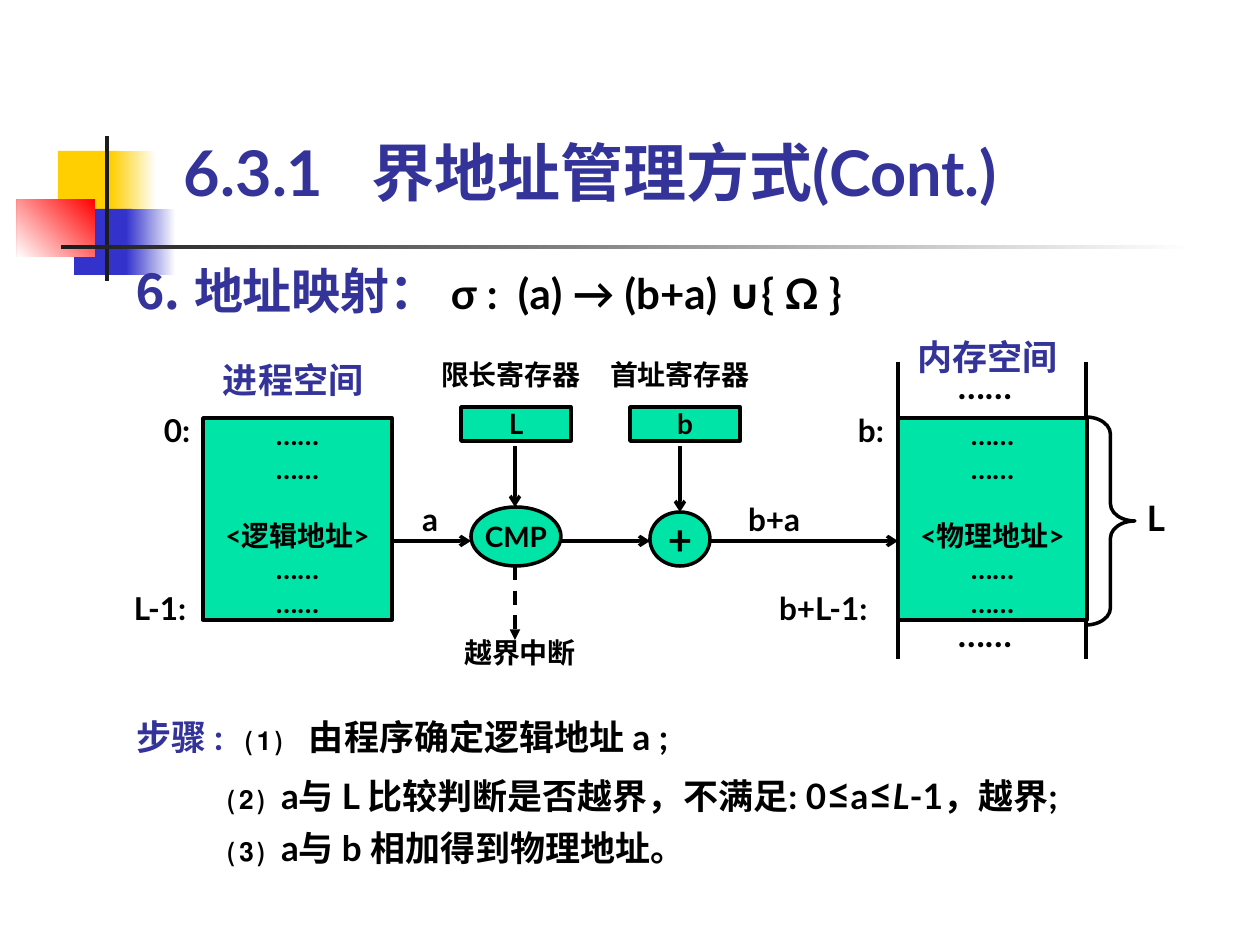
from dataclasses import dataclass
from lxml.etree import SubElement
from pptx import Presentation
from pptx.dml.color import RGBColor
from pptx.enum.dml import MSO_LINE
from pptx.enum.shapes import MSO_CONNECTOR, MSO_SHAPE
from pptx.enum.text import MSO_ANCHOR, PP_ALIGN
from pptx.oxml.ns import qn
from pptx.util import Pt

SCALE = 914400 / 126  # EMU in one px


@dataclass(frozen=True)
class Theme:
    font: str = "Lato"
    heading: str = "333399"
    ink: str = "000000"
    box: str = "00E4A8"
    white: str = "FFFFFF"
    yellow: str = "FFCF01"
    blue: str = "3333CC"
    red: str = "FF0000"
    rule: str = "1C1C1C"
    title: int = 36
    section: int = 28
    large: int = 24
    body: int = 20
    label: int = 18
    small: int = 16
    line: int = 2


THEME = Theme()
CENTER = PP_ALIGN.CENTER


def px(*lengths):
    return [round(length * SCALE) for length in lengths]


def set_all(target, values):
    for name, value in values.items():
        setattr(target, name, value)


def write(paragraph, runs, tabs=(), hanging=None, **formats):
    """Fill a paragraph with runs of (text, size, colour, italic)."""
    properties = paragraph._p.get_or_add_pPr()
    if hanging:
        margin, indent = px(*hanging)
        properties.set("marL", str(margin))
        properties.set("indent", str(indent))
    if tabs:
        tab_list = SubElement(properties, qn("a:tabLst"))
        for position in px(*tabs):
            SubElement(tab_list, qn("a:tab"), pos=str(position), algn="l")
    set_all(paragraph, formats)
    for text, size, colour, *italic in runs:
        run = paragraph.add_run()
        run.text = text
        set_all(run.font, {"name": THEME.font, "size": Pt(size), "bold": True,
                           "italic": bool(italic)})
        run.font.color.rgb = RGBColor.from_string(colour)


def set_frame(shape, margins=(0, 0), anchor=MSO_ANCHOR.TOP, wrap=True):
    side, end = px(*margins)
    frame = shape.text_frame
    set_all(frame, {"margin_left": side, "margin_right": side, "margin_top": end,
                    "margin_bottom": end, "vertical_anchor": anchor, "word_wrap": wrap})
    return frame


def add_text(slide, box, runs, margins=(0, 0), **formats):
    frame = set_frame(slide.shapes.add_textbox(*px(*box)), margins)
    write(frame.paragraphs[0], runs, **formats)
    return frame


def add_block(slide, box, fill, fade_to=None, angle=180):
    """Unlined rectangle, plain or fading from one colour to another."""
    shape = slide.shapes.add_shape(MSO_SHAPE.RECTANGLE, *px(*box))
    shape.shadow.inherit = False
    shape.line.fill.background()
    if fade_to is None:
        shape.fill.solid()
        shape.fill.fore_color.rgb = RGBColor.from_string(fill)
        return
    shape.fill.gradient()
    shape.fill.gradient_angle = angle
    for stop, colour in zip(shape.fill.gradient_stops, (fill, fade_to)):
        stop.color.rgb = RGBColor.from_string(colour)


def add_outline(slide, kind, box, fill=None):
    shape = slide.shapes.add_shape(kind, *px(*box))
    shape.shadow.inherit = False
    shape.line.color.rgb = RGBColor.from_string(THEME.ink)
    shape.line.width = Pt(THEME.line)
    if fill:
        shape.fill.solid()
        shape.fill.fore_color.rgb = RGBColor.from_string(fill)
    else:
        shape.fill.background()
    return shape


def add_node(slide, kind, box, text, size=THEME.small, **frame_formats):
    frame = set_frame(add_outline(slide, kind, box, THEME.box), **frame_formats)
    write(frame.paragraphs[0], [(text, size, THEME.ink)], alignment=CENTER)


def add_memory(slide, left, address):
    """Address space box; a gap stands above its marked address."""
    shape = add_outline(slide, MSO_SHAPE.RECTANGLE, (left, 418, 189, 202), THEME.box)
    frame = set_frame(shape)
    for index, text in enumerate(("……", "……", address, "……", "……")):
        paragraph = frame.add_paragraph() if index else frame.paragraphs[0]
        gap = {"space_before": Pt(19)} if text == address else {}
        write(paragraph, [(text, THEME.small, THEME.ink)], alignment=CENTER, **gap)


def add_line(slide, ends, head=None, dashed=False):
    connector = slide.shapes.add_connector(MSO_CONNECTOR.STRAIGHT, *px(*ends))
    connector.line.color.rgb = RGBColor.from_string(THEME.ink)
    connector.line.width = Pt(THEME.line)
    if dashed:
        connector.line.dash_style = MSO_LINE.DASH
    if head:
        SubElement(connector.line._get_or_add_ln(), qn("a:tailEnd"), type=head)
    SubElement(connector._element.spPr, qn("a:effectLst"))


def add_decoration(slide):
    add_block(slide, (58, 151, 60, 66), THEME.yellow)
    add_block(slide, (111, 151, 45, 66), THEME.white, THEME.yellow)
    add_block(slide, (74, 209, 58, 66), THEME.blue)
    add_block(slide, (126, 209, 50, 66), THEME.white, THEME.blue)
    add_block(slide, (17, 199, 78, 58), THEME.red, THEME.white, 225)
    add_block(slide, (105, 136, 4, 145), THEME.rule)
    add_block(slide, (61, 245, 1134, 4), THEME.white, THEME.rule)


def add_headings(slide):
    title = slide.shapes.title
    set_all(title, dict(zip(("left", "top", "width", "height"), px(184, 149, 903, 60))))
    frame = set_frame(title, anchor=MSO_ANCHOR.BOTTOM)
    write(frame.paragraphs[0], [("6.3.1\t界地址管理方式(Cont.)", THEME.title, THEME.heading)],
          tabs=[187], alignment=PP_ALIGN.LEFT, line_spacing=0.8)
    add_text(slide, (134, 255, 853, 64),
             [("⒍ 地址映射：\t", THEME.section, THEME.heading),
              ("σ :\t(a) → (b+a) ∪{ Ω }", THEME.large, THEME.ink)],
             tabs=[317, 384], line_spacing=1.1)


def add_labels(slide):
    tight = [
        ("0:", 164, 418, 40, THEME.label, THEME.ink),
        ("L-1:", 134, 596, 69, THEME.label, THEME.ink),
        ("b:", 858, 418, 40, THEME.label, THEME.ink),
        ("b+L-1:", 779, 596, 118, THEME.label, THEME.ink),
        ("a", 422, 507, 20, THEME.label, THEME.ink),
        ("b+a", 748, 507, 79, THEME.label, THEME.ink),
        ("……", 958, 373, 89, THEME.body, THEME.ink),
        ("……", 958, 621, 89, THEME.body, THEME.ink),
        ("进程空间", 223, 367, 159, THEME.body, THEME.heading),
        ("内存空间", 917, 344, 159, THEME.body, THEME.heading),
    ]
    for text, left, top, width, size, colour in tight:
        add_text(slide, (left, top, width, 34), [(text, size, colour)], line_spacing=0.8)
    add_text(slide, (1147, 496, 30, 42), [("L", THEME.body, THEME.ink)])
    add_text(slide, (461, 636, 118, 34), [("越界中断", THEME.small, THEME.ink)], alignment=CENTER)


def add_diagram(slide):
    # Sides of main memory and its length brace
    for x in (898, 1086):
        add_line(slide, (x, 362, x, 659))
    brace = add_outline(slide, MSO_SHAPE.RIGHT_BRACE, (1086, 417, 49, 208))
    brace.adjustments[0] = 0.35
    add_labels(slide)
    # Registers
    for left, name, value in ((461, "限长寄存器", "L"), (630, "首址寄存器", "b")):
        add_text(slide, (left - 20, 358, 159, 34), [(name, THEME.small, THEME.ink)])
        add_node(slide, MSO_SHAPE.RECTANGLE, (left, 407, 110, 34), value)
    # Address spaces
    add_memory(slide, 203, "<逻辑地址>")
    add_memory(slide, 898, "<物理地址>")
    # Operators
    for box, text, size in (((471, 507, 90, 59), "CMP", THEME.small),
                            ((650, 512, 60, 54), "+", THEME.large)):
        add_node(slide, MSO_SHAPE.OVAL, box, text, size, margins=(13, 6),
                 anchor=MSO_ANCHOR.MIDDLE, wrap=False)
    # Flow
    for start, end in ((392, 471), (561, 650), (710, 898)):
        add_line(slide, (start, 541, end, 541), "arrow")
    for x, end in ((515, 507), (680, 512)):
        add_line(slide, (x, 446, x, end), "arrow")
    add_line(slide, (515, 566, 515, 640), "triangle", dashed=True)


def add_steps(slide):
    ink, body, large = THEME.ink, THEME.body, THEME.large
    frame = add_text(slide, (123, 701, 1103, 174),
                     [("步骤 :\t", body, THEME.heading), ("⑴\t由程序确定逻辑地址 a ;", body, ink)],
                     margins=(13, 6), tabs=[110, 173], line_spacing=1.2)
    comparison = [("⑵\ta与 L 比较判断是否越界，不满足: 0", body, ink), ("≤", large, ink),
                  ("a", body, ink), ("≤", large, ink), ("L", body, ink, True),
                  ("-1，越界;", body, ink)]
    for runs in (comparison, [("⑶\ta与 b 相加得到物理地址。", body, ink)]):
        write(frame.add_paragraph(), runs, hanging=(145, -53), line_spacing=1.2)


def main():
    presentation = Presentation()
    presentation.slide_width, presentation.slide_height = px(1260, 945)
    slide = presentation.slides.add_slide(presentation.slide_layouts[5])
    add_decoration(slide)
    add_headings(slide)
    add_diagram(slide)
    add_steps(slide)
    presentation.save("out.pptx")


if __name__ == "__main__":
    main()
